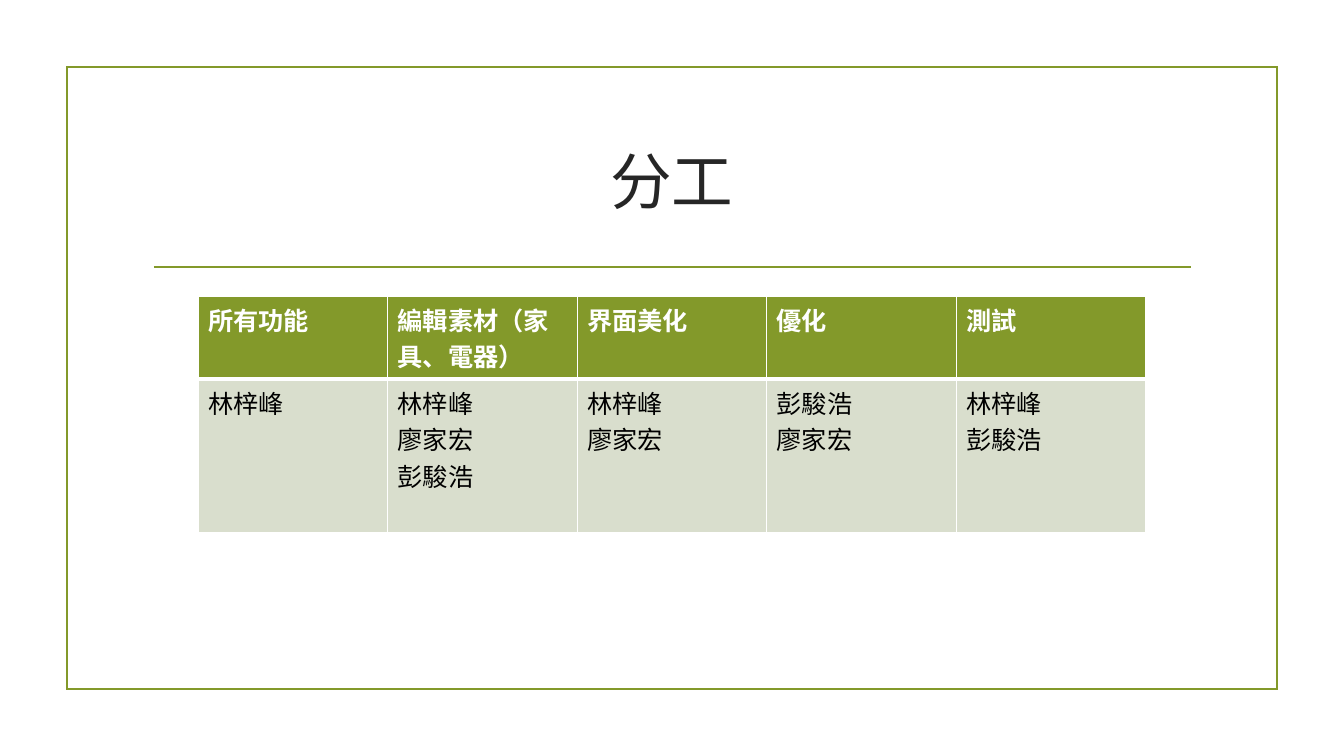
from lxml import etree
from pptx import Presentation
from pptx import util as u
from pptx.dml.color import RGBColor
from pptx.enum import shapes, text
from pptx.oxml import ns

EMU_PER_PX = 914400 / 100.8
GREEN, PALE, WHITE, BLACK, DARK = "83992A", "D9DECD", "FFFFFF", "000000", "262626"
SANS, SERIF = "Noto Sans CJK SC", "Times New Roman"
DUTIES = [
    ("所有功能", SANS, ["林梓峰"]),
    ("編輯素材（家具、電器）", SANS, ["林梓峰", "廖家宏", "彭駿浩"]),
    ("界面美化", SANS, ["林梓峰", "廖家宏"]),
    ("優化", SANS, ["彭駿浩", "廖家宏"]),
    ("測試", SERIF, ["林梓峰", "彭駿浩"]),
]


def px(*lengths):
    """Turn pixel lengths into EMU."""
    return [u.Emu(round(length * EMU_PER_PX)) for length in lengths]


def color(value):
    """Turn a hex string into a colour."""
    return RGBColor.from_string(value)


def format_text(text_frame, size, font_name, font_color, bold=False):
    """Format every run, with the sans face for Chinese characters."""
    for paragraph in text_frame.paragraphs:
        for run in paragraph.runs:
            run.font.size = u.Pt(size)
            run.font.bold = bold
            run.font.name = font_name
            run.font.color.rgb = color(font_color)
            east_asian = etree.SubElement(run.font._element, ns.qn("a:ea"))
            east_asian.set("typeface", SANS)


def add_frame(slide, left, top, width, height):
    """Draw the green frame and the rule below the title."""
    frame = slide.shapes.add_shape(
        shapes.MSO_SHAPE.RECTANGLE, *px(left, top, width, height))
    frame.shadow.inherit = False
    frame.fill.background()
    rule_top = top + 200
    rule = slide.shapes.add_connector(
        shapes.MSO_CONNECTOR.STRAIGHT,
        *px(left + 87, rule_top, left + width - 86, rule_top))
    etree.SubElement(rule._element.spPr, ns.qn("a:effectLst"))
    for shape in (frame, rule):
        shape.line.color.rgb = color(GREEN)
        shape.line.width = u.Pt(1.25)
    outline = frame._element.spPr.find(ns.qn("a:ln"))
    etree.SubElement(outline, ns.qn("a:miter"), lim="800000")


def add_title(slide, left, top, width, height):
    """Write the centred title."""
    title = slide.shapes.add_textbox(*px(left, top, width, height))
    text_frame = title.text_frame
    text_frame.word_wrap = True
    text_frame.vertical_anchor = text.MSO_ANCHOR.MIDDLE
    text_frame.text = "分工"
    text_frame.paragraphs[0].alignment = text.PP_ALIGN.CENTER
    format_text(text_frame, 44, SERIF, DARK)


def style_cell(cell, fill, top_width, bottom_width):
    """Give a cell its white borders and its fill."""
    properties = cell._tc.get_or_add_tcPr()
    widths = {"L": 1, "R": 1, "T": top_width, "B": bottom_width}
    for side, width in widths.items():
        border = etree.SubElement(properties, ns.qn(f"a:ln{side}"), w=str(u.Pt(width)))
        solid = etree.SubElement(border, ns.qn("a:solidFill"))
        etree.SubElement(solid, ns.qn("a:srgbClr"), val=WHITE)
    cell.fill.solid()
    cell.fill.fore_color.rgb = color(fill)


def add_duty_table(slide, left, top, width, header_height, body_height):
    """List each duty with the people who share it."""
    graphic = slide.shapes.add_table(
        2, len(DUTIES), *px(left, top, width, header_height + body_height))
    table = graphic.table
    table.rows[0].height, table.rows[1].height = px(header_height, body_height)
    for index, (duty, duty_font, people) in enumerate(DUTIES):
        header, body = table.cell(0, index), table.cell(1, index)
        header.text_frame.text = duty
        body.text_frame.text = "\n".join(people)
        format_text(header.text_frame, 18, duty_font, WHITE, bold=True)
        format_text(body.text_frame, 18, SANS, BLACK)
        style_cell(header, GREEN, 1, 3)
        style_cell(body, PALE, 3, 1)


def main():
    """Build and save the slide."""
    presentation = Presentation()
    presentation.slide_width, presentation.slide_height = px(1344, 756)
    slide = presentation.slides.add_slide(presentation.slide_layouts[6])
    add_frame(slide, 67, 67, 1210, 622)
    add_title(slide, 143, 108, 1058, 144)
    add_duty_table(slide, 198, 296, 948, 83, 154)
    presentation.save("out.pptx")


if __name__ == "__main__":
    main()
